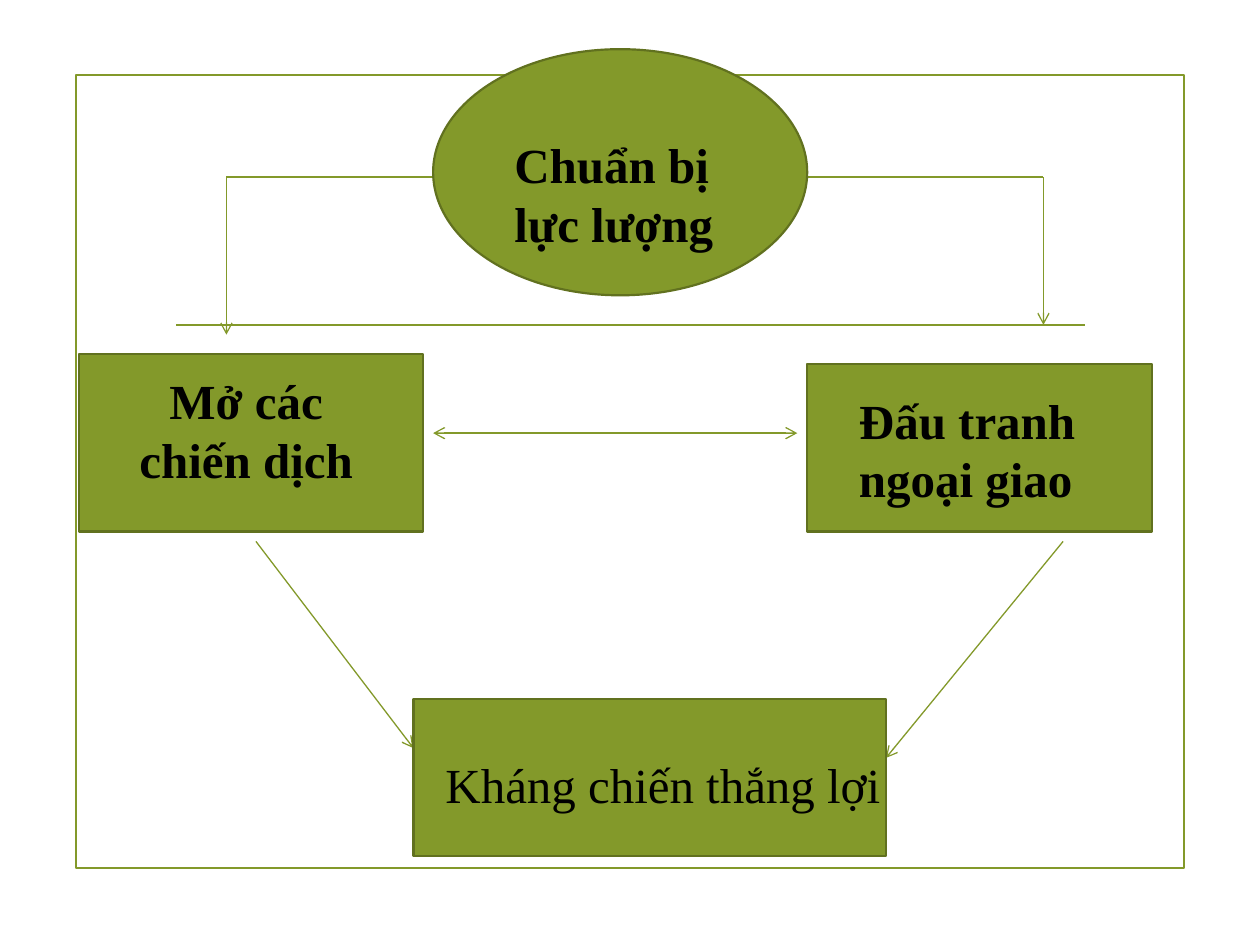
from lxml.etree import SubElement
from pptx import Presentation
from pptx.dml.color import RGBColor
from pptx.enum.shapes import MSO_CONNECTOR as Connector, MSO_SHAPE as Preset
from pptx.enum.text import MSO_AUTO_SIZE as AutoSize, PP_ALIGN as Align
from pptx.oxml.ns import qn
from pptx.util import Inches, Pt

COLUMNS, ROWS = 64, 48
SLIDE_WIDTH, SLIDE_HEIGHT = Inches(10), Inches(7.5)

THEME = {
    "green": RGBColor.from_string("83992A"),
    "outline": RGBColor.from_string("61711F"),
    "font": {
        "name": "Times New Roman",
        "size": Pt(28),
    },
    "text": RGBColor.from_string("000000"),
    "thick": Pt(1.25),
    "thin": Pt(0.75),
}

FRAME = (3.87, 3.8, 56.28, 40.3)
DIVIDER = (8.95, 16.5, 55.12, 16.5)

NODES = [
    (Preset.OVAL, (22, 2.5, 19, 12.5)),
    (Preset.RECTANGLE, (4, 18, 17.5, 9)),
    (Preset.RECTANGLE, (41, 18.5, 17.5, 8.5)),
    (Preset.RECTANGLE, (21, 35.5, 24, 8)),
]

LABELS = [
    (["Chuẩn bị", "lực lượng"], (25.5, 6.5, 14, 6.67), Align.LEFT, True),
    (["Mở các", "chiến dịch"], (4, 18.5, 17, 6.67), Align.CENTER, True),
    (["Đấu tranh ngoại giao"], (43, 19.5, 15, 6.67), Align.LEFT, True),
    (["Kháng chiến thắng lợi"], (22, 38, 25.5, 3.66), Align.LEFT, False),
]

LINKS = [
    ((11.5, 9, 53, 9), ()),
    ((11.5, 9, 11.5, 17), ("tailEnd",)),
    ((53, 9, 53, 16.5), ("tailEnd",)),
    ((22, 22, 40.5, 22), ("headEnd", "tailEnd")),
    ((13, 27.5, 21, 38), ("tailEnd",)),
    ((54, 27.5, 45, 38.5), ("tailEnd",)),
]


def on_grid(box):
    cells = (SLIDE_WIDTH / COLUMNS, SLIDE_HEIGHT / ROWS) * 2
    return [round(value * cell) for value, cell in zip(box, cells)]


def set_line(shape, color, width):
    shape.line.color.rgb = color
    shape.line.width = width


def add_node(slide, preset, box, fill, outline):
    shape = slide.shapes.add_shape(preset, *on_grid(box))
    shape.shadow.inherit = False
    if fill is None:
        shape.fill.background()
    else:
        shape.fill.solid()
        shape.fill.fore_color.rgb = fill
    set_line(shape, outline, THEME["thick"])


def add_link(slide, points, width, arrow_ends=()):
    connector = slide.shapes.add_connector(Connector.STRAIGHT, *on_grid(points))
    set_line(connector, THEME["green"], width)
    line = connector.line._get_or_add_ln()
    for end in arrow_ends:
        SubElement(line, qn(f"a:{end}"), type="arrow")
    SubElement(connector._element.spPr, qn("a:effectLst"))


def add_label(slide, lines, box, alignment, bold):
    frame = slide.shapes.add_textbox(*on_grid(box)).text_frame
    frame.word_wrap = True
    frame.auto_size = AutoSize.SHAPE_TO_FIT_TEXT
    frame.text = "\n".join(lines)
    for paragraph in frame.paragraphs:
        paragraph.alignment = alignment
        for run in paragraph.runs:
            for name, value in {**THEME["font"], "bold": bold}.items():
                setattr(run.font, name, value)
            run.font.color.rgb = THEME["text"]


def main():
    presentation = Presentation()
    presentation.slide_width, presentation.slide_height = SLIDE_WIDTH, SLIDE_HEIGHT
    slide = presentation.slides.add_slide(presentation.slide_layouts[6])
    add_node(slide, Preset.RECTANGLE, FRAME, None, THEME["green"])
    add_link(slide, DIVIDER, THEME["thick"])
    for points, arrow_ends in LINKS:
        add_link(slide, points, THEME["thin"], arrow_ends)
    for preset, box in NODES:
        add_node(slide, preset, box, THEME["green"], THEME["outline"])
    for label in LABELS:
        add_label(slide, *label)
    presentation.save("out.pptx")


if __name__ == "__main__":
    main()
